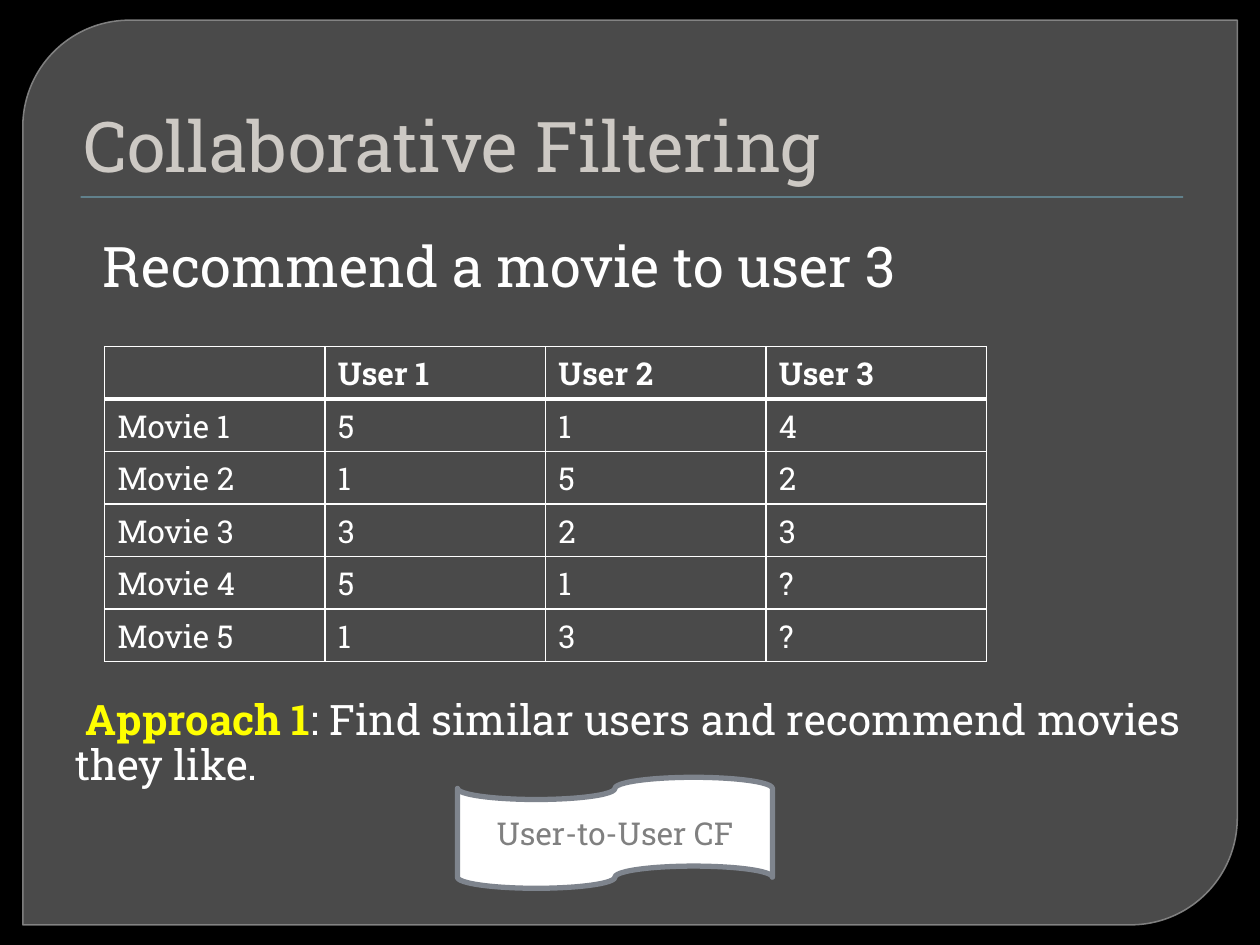
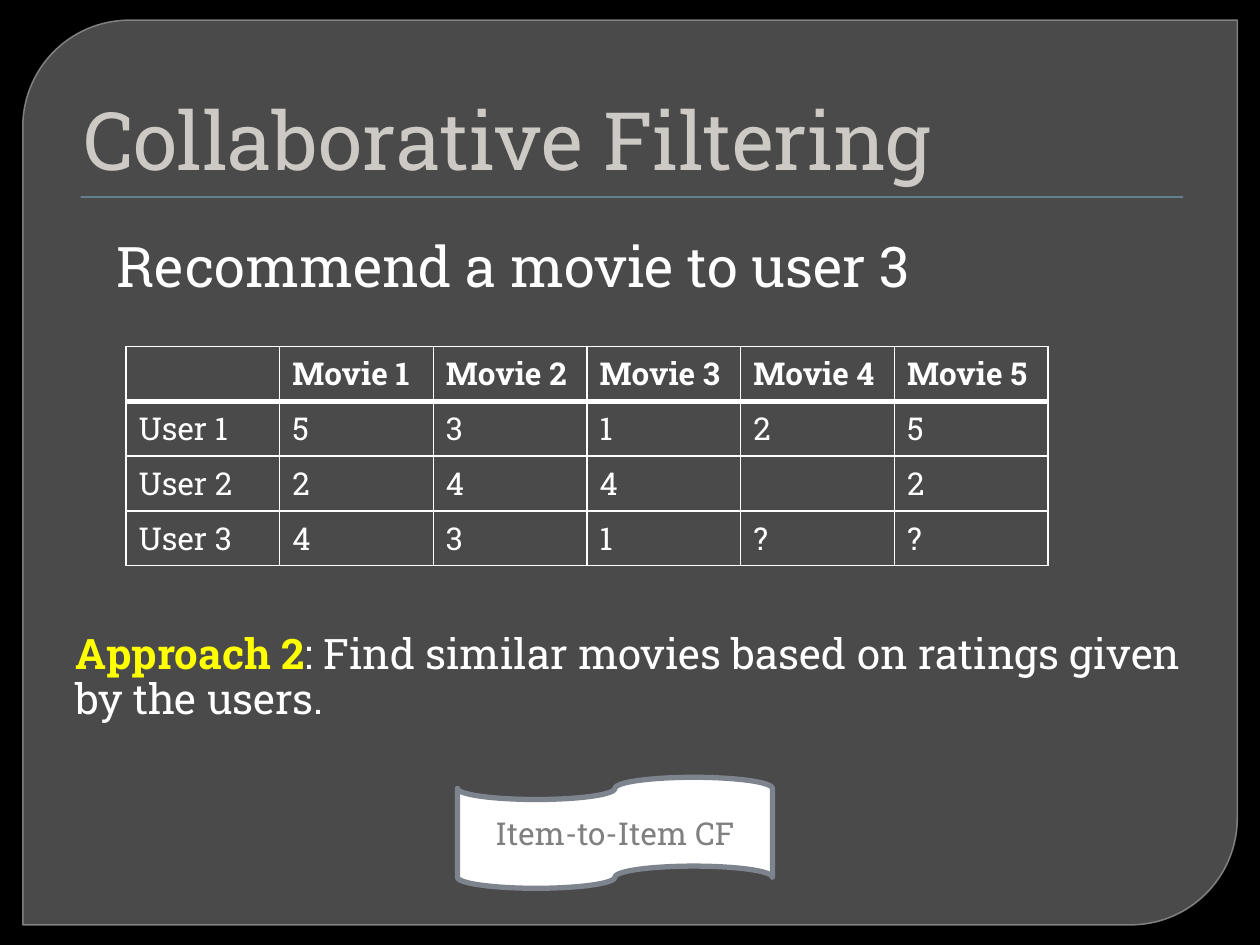
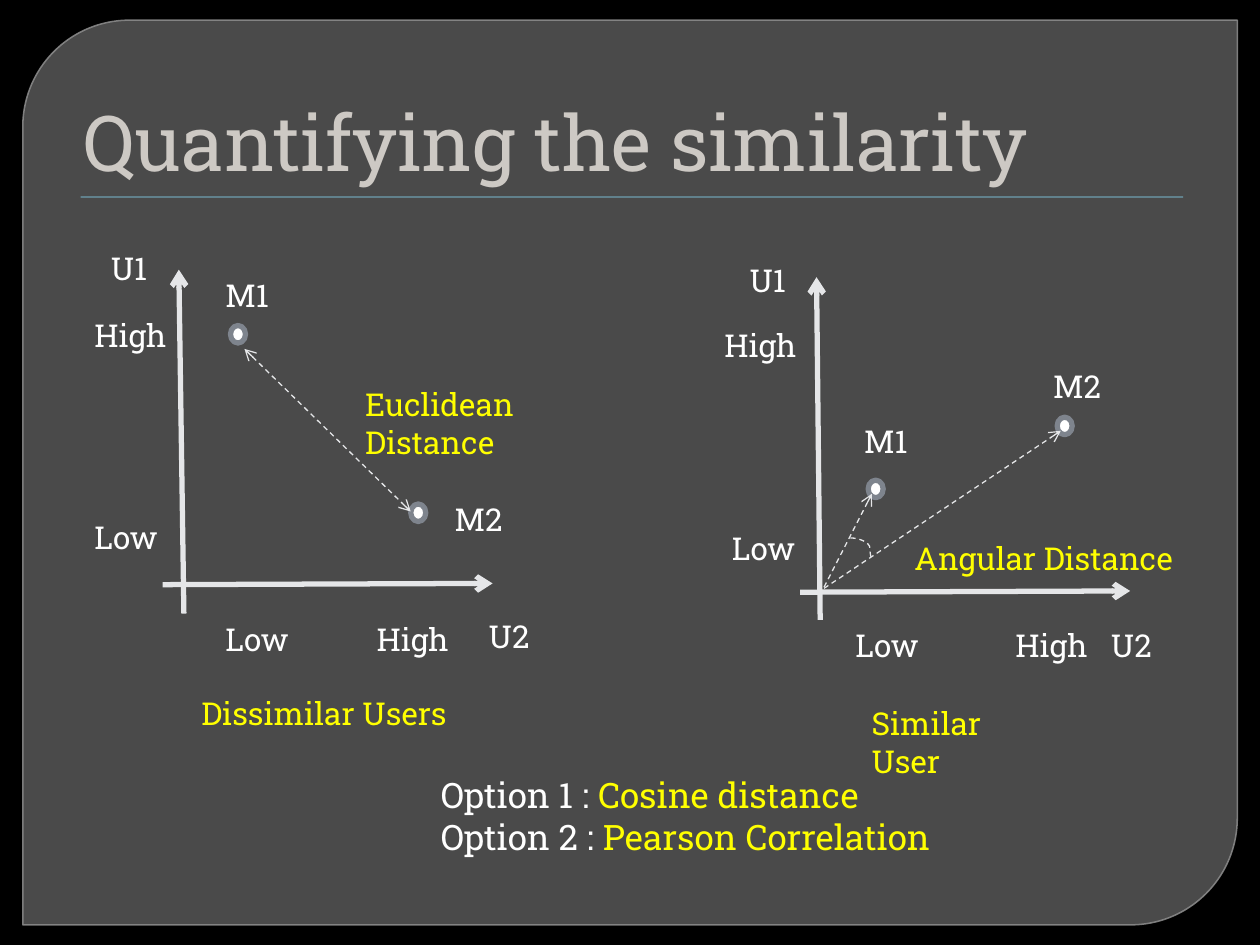
from lxml.etree import SubElement
from pptx import Presentation
from pptx.dml.color import RGBColor
from pptx.enum.dml import MSO_LINE
from pptx.enum.shapes import MSO_CONNECTOR as Link, MSO_SHAPE as Preset
from pptx.enum.text import MSO_ANCHOR as Anchor, PP_ALIGN as Align
from pptx.oxml import parse_xml
from pptx.oxml.ns import nsdecls, qn
from pptx.util import Pt

FONT = "Roboto Slab"
BLACK, WHITE, YELLOW = "000000", "FFFFFF", "FFFF00"
PANEL, PANEL_EDGE = "737373", "8B8B8B"
RULE, TITLE, AXIS, RIM, BANNER_TEXT = "6EA0B0", "CDC9C4", "E5E6E8", "7E848D", "808080"
LABEL_WIDTHS = {"High": 62.6, "Low": 52, "M1": 42, "M2": 42, "U1": 48, "U2": 62.6}


def rgb(hex_code):
    return RGBColor.from_string(hex_code)


def set_opacity(fill_parent, percent):
    color = fill_parent.find(qn("a:solidFill"))[0]
    SubElement(color, qn("a:alpha"), val=str(percent * 1000))


def border_xml(side, width):
    return parse_xml(
        f'<a:{side} {nsdecls("a")} w="{Pt(width)}"><a:solidFill>'
        f'<a:srgbClr val="{WHITE}"/></a:solidFill></a:{side}>')


class Deck:
    def __init__(self):
        self.show = Presentation()
        self.show.slide_width, self.show.slide_height = Pt(720), Pt(540)
        self.slide = None

    def new_slide(self, title, size):
        self.slide = self.show.slides.add_slide(self.show.slide_layouts[6])
        backdrop = self.slide.background.fill
        backdrop.solid()
        backdrop.fore_color.rgb = rgb(BLACK)
        panel = self.shape(Preset.ROUND_2_DIAG_RECTANGLE, 13, 11.5, 694, 517,
                           PANEL, PANEL_EDGE, 0.87)
        panel.adjustments[0] = 0.118
        properties = panel.element.spPr
        set_opacity(properties, 65)
        set_opacity(properties.find(qn("a:ln")), 88)
        self.shape(Preset.RECTANGLE, 46.1, 112.2, 630, 0.8, RULE)
        heading = self.text(36, 20.2, 648, 90, [[(title, TITLE)]], size)
        heading.vertical_anchor = Anchor.BOTTOM
        heading.margin_left = Pt(11.5)

    def shape(self, preset, left, top, width, height, fill, edge=None, edge_width=3):
        shape = self.slide.shapes.add_shape(preset, Pt(left), Pt(top), Pt(width), Pt(height))
        shape.shadow.inherit = False
        shape.fill.solid()
        shape.fill.fore_color.rgb = rgb(fill)
        if edge:
            shape.line.color.rgb = rgb(edge)
            shape.line.width = Pt(edge_width)
        else:
            shape.line.fill.background()
        return shape

    def add_runs(self, paragraph, runs, size, bold=False):
        """Fill a paragraph with (text, colour) runs."""
        font = paragraph.font
        font.name, font.size, font.bold = FONT, Pt(size), bold
        for words, color in runs:
            run = paragraph.add_run()
            run.text = words
            run.font.color.rgb = rgb(color)

    def text(self, left, top, width, height, paragraphs, size):
        box = self.slide.shapes.add_textbox(Pt(left), Pt(top), Pt(width), Pt(height))
        frame = box.text_frame
        frame.word_wrap = True
        for index, runs in enumerate(paragraphs):
            paragraph = frame.add_paragraph() if index else frame.paragraphs[0]
            self.add_runs(paragraph, runs, size)
        return frame

    def label(self, words, left, top, color=WHITE, width=None):
        self.text(left, top, width or LABEL_WIDTHS[words], 29, [[(words, color)]], 18)

    def task(self, request, indent, approach, description, gap, first_indent=0):
        """Set the request, then the approach below the room for the table."""
        frame = self.text(36, 128.6, 648, 370, [
            [(request, WHITE)],
            [(approach, YELLOW), (": " + description, WHITE)]], 32)
        opening, method = frame.paragraphs
        opening._p.get_or_add_pPr().set("marL", str(Pt(indent)))
        method._p.get_or_add_pPr().set("indent", str(Pt(first_indent)))
        method.font.size = Pt(24)
        method.space_before = Pt(gap)
        method.line_spacing = 0.9
        method.runs[0].font.bold = True

    def ratings(self, left, column_width, row_height, rows):
        columns = len(rows[0])
        table = self.slide.shapes.add_table(
            len(rows), columns, Pt(left), Pt(198),
            Pt(column_width * columns), Pt(row_height * len(rows))).table
        table.first_row = table.horz_banding = False
        for column in table.columns:
            column.width = Pt(column_width)
        for row_index, values in enumerate(rows):
            table.rows[row_index].height = Pt(row_height)
            widths = {"lnL": 1, "lnR": 1, "lnT": 3 if row_index == 1 else 1,
                      "lnB": 3 if row_index == 0 else 1}
            for column_index, value in enumerate(values):
                cell = table.cell(row_index, column_index)
                cell.fill.background()
                runs = [(value, WHITE)] if value else []
                self.add_runs(cell.text_frame.paragraphs[0], runs, 18, row_index == 0)
                for place, (side, width) in enumerate(widths.items()):
                    cell._tc.get_or_add_tcPr().insert(place, border_xml(side, width))

    def banner(self, words):
        tape = self.shape(Preset.FLOWCHART_PUNCHED_TAPE, 261.4, 444.2, 180, 63.4, WHITE, RIM)
        tape.text_frame.vertical_anchor = Anchor.MIDDLE
        paragraph = tape.text_frame.paragraphs[0]
        paragraph.alignment = Align.CENTER
        self.add_runs(paragraph, [(words, BANNER_TEXT)], 18)

    def line(self, start, end, width=0.75, arrows=("tailEnd",), kind=Link.STRAIGHT):
        """Draw a line; thin ones are dashed."""
        line = self.slide.shapes.add_connector(kind, *map(Pt, start + end))
        line.line.color.rgb = rgb(AXIS)
        line.line.width = Pt(width)
        if width < 1:
            line.line.dash_style = MSO_LINE.DASH
        properties = line.element.spPr
        for arrow in arrows:
            SubElement(properties.find(qn("a:ln")), qn(f"a:{arrow}"), type="arrow")
        SubElement(properties, qn("a:effectLst"))
        return line

    def angle_arc(self, start, end):
        arc = self.line(start, end, arrows=(), kind=Link.CURVE)
        guides = arc.element.spPr.find(qn("a:prstGeom")).get_or_add_avLst()
        SubElement(guides, qn("a:gd"), name="adj1", fmla="val 91400")

    def plot(self, axes, movies, labels):
        for start, end in axes:
            self.line(start, end, 3)
        for x, y in movies:
            self.shape(Preset.OVAL, x - 4.3, y - 5, 8.6, 10, WHITE, RIM)
        for label in labels:
            self.label(*label)


def user_to_user(deck):
    deck.new_slide("Collaborative Filtering", 40)
    deck.task("Recommend a movie to user 3", 15.8, "Approach 1",
              "Find similar users and recommend movies they like.", 229, 6)
    deck.ratings(59.8, 126, 30, [
        ["", "User 1", "User 2", "User 3"],
        ["Movie 1", "5", "1", "4"],
        ["Movie 2", "1", "5", "2"],
        ["Movie 3", "3", "2", "3"],
        ["Movie 4", "5", "1", "?"],
        ["Movie 5", "1", "3", "?"]])
    deck.banner("User-to-User CF")


def item_to_item(deck):
    deck.new_slide("Collaborative Filtering", 46)
    deck.task("Recommend a movie to user 3", 23.7, "Approach 2",
              "Find similar movies based on ratings given by the users.", 191)
    deck.ratings(72, 87.84, 31.3, [
        ["", "Movie 1", "Movie 2", "Movie 3", "Movie 4", "Movie 5"],
        ["User 1", "5", "3", "1", "2", "5"],
        ["User 2", "2", "4", "4", "", "2"],
        ["User 3", "4", "3", "1", "?", "?"]])
    deck.banner("Item-to-Item CF")


def similarity(deck):
    deck.new_slide("Quantifying the similarity", 44)
    deck.plot(
        axes=[((105.1, 350.6), (102.2, 154.1)), ((92.9, 334.1), (281.5, 333.4))],
        movies=[(136, 191), (239, 293)],
        labels=[("U1", 56.2, 139), ("High", 46.8, 177.1), ("Low", 46.8, 292.3),
                ("Low", 121.7, 350.6), ("High", 208.1, 350.6), ("U2", 272.2, 349.2),
                ("M1", 121.7, 154.1), ("M2", 252.7, 282.2),
                ("Euclidean Distance", 201.6, 216.7, YELLOW, 173.5),
                ("Dissimilar Users", 108, 393.1, YELLOW, 158.4)])
    deck.line((139.7, 199.4), (234.7, 292.3), arrows=("headEnd", "tailEnd"))

    deck.plot(
        axes=[((468.7, 354.2), (466.6, 158.4)), ((457.2, 338.4), (645.8, 337.7))],
        movies=[(500.4, 279.4), (608.4, 243.4)],
        labels=[("U1", 421.2, 145.4), ("High", 406.8, 182.9), ("Low", 411.1, 298.8),
                ("Low", 481.7, 354.2), ("High", 573.1, 354.2), ("U2", 627.8, 354.2),
                ("M1", 486.7, 237.6), ("M2", 594.7, 205.9),
                ("Angular Distance", 515.5, 304.6, YELLOW, 164),
                ("Similar User", 491, 398.9, YELLOW, 119.5)])
    deck.line((470.9, 335.5), (498.2, 282.2))
    deck.line((470.9, 336.2), (606.2, 246.2))
    deck.angle_arc((486, 307.4), (498.2, 319))

    deck.text(244.8, 438.5, 314.6, 55.4, [
        [("Option 1 : ", WHITE), ("Cosine distance", YELLOW)],
        [("Option 2 : ", WHITE), ("Pearson Correlation", YELLOW)]], 20)


def main():
    deck = Deck()
    user_to_user(deck)
    item_to_item(deck)
    similarity(deck)
    deck.show.save("out.pptx")


if __name__ == "__main__":
    main()
